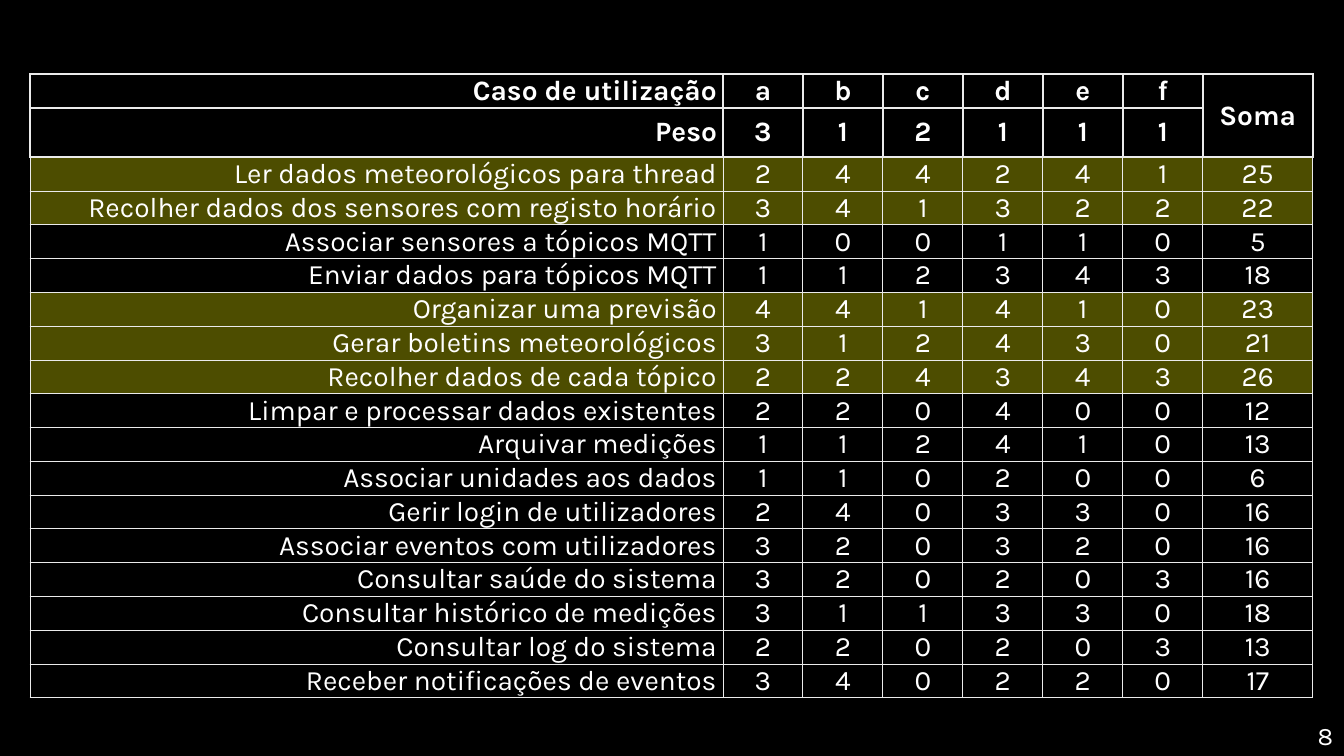
from dataclasses import dataclass
from lxml.etree import SubElement
from pptx import Presentation
from pptx.dml.color import RGBColor
from pptx.enum.text import MSO_ANCHOR, PP_ALIGN
from pptx.oxml.ns import qn
from pptx.util import Pt


@dataclass(frozen=True)
class Theme:
    back: str = "000000"
    ink: str = "FFFFFF"
    rule: str = "EBEBEB"
    mark: str = "FFFF00"
    alpha: int = 30000
    font: str = "Karla"
    body: int = 20
    small: int = 18
    thin: float = 0.75
    thick: float = 1.5


THEME = Theme()
WIDE, HIGH = 1344, 756
SCALE = 12192000 / WIDE
LIMIT = 20
LABELS = ["a", "b", "c", "d", "e", "f"]
WEIGHTS = [3, 1, 2, 1, 1, 1]
CASES = [
    ("Ler dados meteorológicos para thread", [2, 4, 4, 2, 4, 1]),
    ("Recolher dados dos sensores com registo horário", [3, 4, 1, 3, 2, 2]),
    ("Associar sensores a tópicos MQTT", [1, 0, 0, 1, 1, 0]),
    ("Enviar dados para tópicos MQTT", [1, 1, 2, 3, 4, 3]),
    ("Organizar uma previsão", [4, 4, 1, 4, 1, 0]),
    ("Gerar boletins meteorológicos", [3, 1, 2, 4, 3, 0]),
    ("Recolher dados de cada tópico", [2, 2, 4, 3, 4, 3]),
    ("Limpar e processar dados existentes", [2, 2, 0, 4, 0, 0]),
    ("Arquivar medições", [1, 1, 2, 4, 1, 0]),
    ("Associar unidades aos dados", [1, 1, 0, 2, 0, 0]),
    ("Gerir login de utilizadores", [2, 4, 0, 3, 3, 0]),
    ("Associar eventos com utilizadores", [3, 2, 0, 3, 2, 0]),
    ("Consultar saúde do sistema", [3, 2, 0, 2, 0, 3]),
    ("Consultar histórico de medições", [3, 1, 1, 3, 3, 0]),
    ("Consultar log do sistema", [2, 2, 0, 2, 0, 3]),
    ("Receber notificações de eventos", [3, 4, 0, 2, 2, 0]),
]


def px(size):
    return round(size * SCALE)


def style(frame, size, align, bold=False):
    for para in frame.paragraphs:
        para.alignment = align
        for run in para.runs:
            run.font.name = THEME.font
            run.font.size = Pt(size)
            run.font.bold = bold
            run.font.color.rgb = RGBColor.from_string(THEME.ink)


def inset(item, side, edge):
    item.margin_left = item.margin_right = px(side)
    item.margin_top = item.margin_bottom = px(edge)


def border(cell, widths):
    props = cell._tc.get_or_add_tcPr()
    for side, width in zip("LRTB", widths):
        line = SubElement(props, qn(f"a:ln{side}"), w=str(Pt(width)))
        fill = SubElement(line, qn("a:solidFill"))
        SubElement(fill, qn("a:srgbClr"), val=THEME.rule)


def paint(cell, marked):
    if not marked:
        cell.fill.background()
        return
    cell.fill.solid()
    cell.fill.fore_color.rgb = RGBColor.from_string(THEME.mark)
    color = cell._tc.tcPr.find(qn("a:solidFill")).find(qn("a:srgbClr"))
    SubElement(color, qn("a:alpha"), val=str(THEME.alpha))


def write(cell, text, align, head):
    cell.text_frame.text = str(text)
    cell.vertical_anchor = MSO_ANCHOR.MIDDLE
    inset(cell, 6, 0)
    style(cell.text_frame, THEME.body, align, head)


def score(marks):
    return sum(mark * weight for mark, weight in zip(marks, WEIGHTS))


def grid(slide):
    rows = [["Caso de utilização", *LABELS, "Soma"], ["Peso", *WEIGHTS, ""]]
    rows += [[name, *marks, score(marks)] for name, marks in CASES]
    widths = [693] + [80] * len(LABELS) + [110]
    frame = slide.shapes.add_table(
        len(rows), len(widths), px(30), px(74), px(sum(widths)), px(608))
    table = frame.table
    table.first_row = table.horz_banding = False
    for column, width in zip(table.columns, widths):
        column.width = px(width)
    for r, row in enumerate(rows):
        head = r < 2
        marked = not head and row[-1] > LIMIT
        side = THEME.thick if head else THEME.thin
        top = THEME.thick if r <= 2 else THEME.thin
        for c, text in enumerate(row):
            cell = table.cell(r, c)
            align = PP_ALIGN.CENTER if c else PP_ALIGN.RIGHT
            write(cell, text, align, head)
            border(cell, (side, side, top, side))
            paint(cell, marked)
    total = table.cell(0, len(widths) - 1)
    total.merge(table.cell(1, len(widths) - 1))
    inset(total, 15, 8)


def number(slide, text):
    box = slide.shapes.add_textbox(px(1283), px(715), px(60), px(41))
    frame = box.text_frame
    frame.word_wrap = True
    frame.vertical_anchor = MSO_ANCHOR.MIDDLE
    inset(frame, 10, 5)
    frame.text = text
    style(frame, THEME.small, PP_ALIGN.RIGHT)


def main():
    deck = Presentation()
    deck.slide_width, deck.slide_height = px(WIDE), px(HIGH)
    slide = deck.slides.add_slide(deck.slide_layouts[6])
    fill = slide.background.fill
    fill.solid()
    fill.fore_color.rgb = RGBColor.from_string(THEME.back)
    number(slide, "8")
    grid(slide)
    deck.save("out.pptx")


if __name__ == "__main__":
    main()
